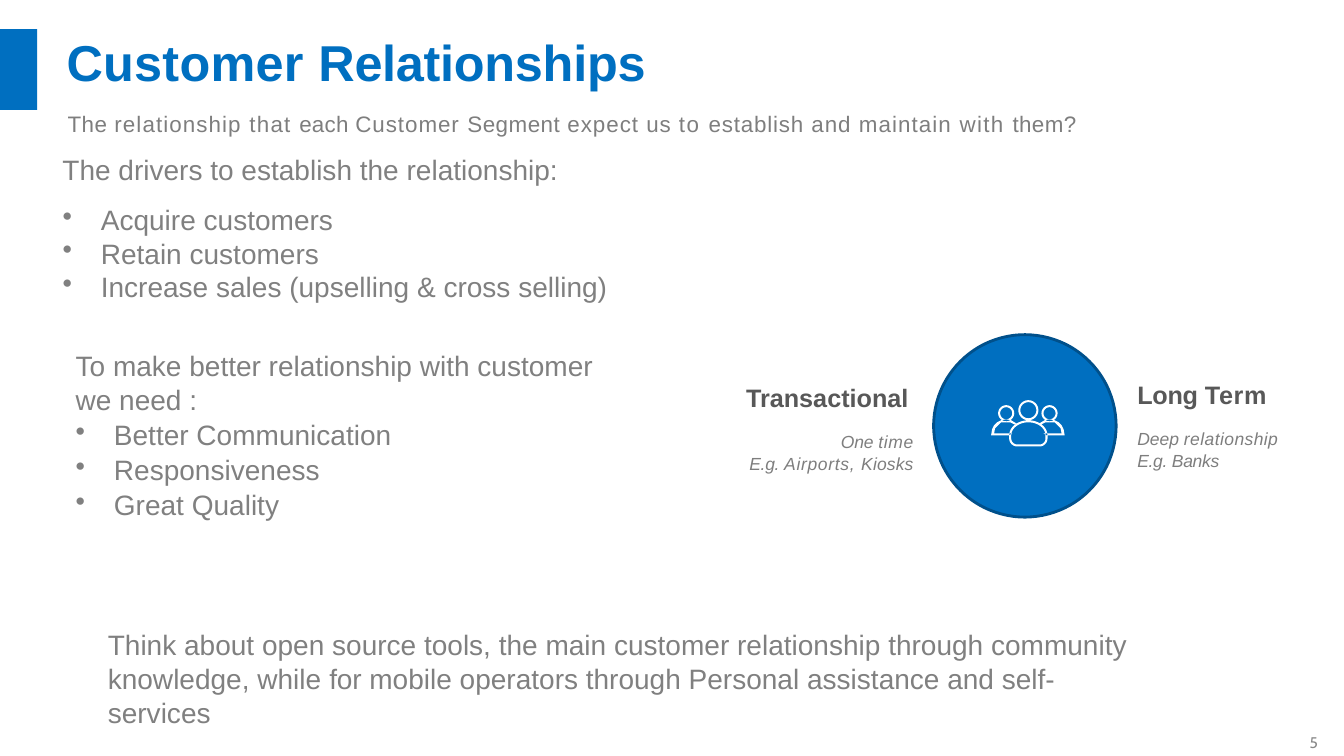
import dataclasses
import math

import lxml.etree
import pptx
import pptx.dml.color
import pptx.enum.shapes
import pptx.enum.text
import pptx.oxml.ns
import pptx.util

PX = 9144
BLUE = "006FC0"
NAVY = "00508B"
WHITE = "FFFFFF"
SHAPES = pptx.enum.shapes.MSO_SHAPE
SIDE_SHOULDERS = [
    (0, 35), (1, 29), (3, 25), (6, 22), (10, 20), (15, 19), (20, 20), (25, 23),
    (23, 24), (19, 22), (15, 22), (10, 22), (7, 25), (4, 28), (3, 33),
    (21, 33), (18, 35)]


@dataclasses.dataclass(frozen=True)
class Style:
    """Look of the text in one paragraph."""
    size: float
    color: str
    font: str = "Arial"
    bold: bool = False
    italic: bool = False


TITLE = Style(36, BLUE, bold=True)
QUESTION = Style(16, "7E7E7E")
BODY = Style(20, "808080")
HEADING = Style(18, "585858", bold=True)
DETAIL = Style(12.5, "7E7E7E", italic=True)
NUMBER = Style(11, "888888", font="Cabin")


def px(length):
    """Turn px into EMU."""
    return pptx.util.Emu(round(length * PX))


def rgb(value):
    """Turn a hex string into a colour."""
    return pptx.dml.color.RGBColor.from_string(value)


def paint(shape, fill, line=None, width=1):
    """Set the fill and outline of a shape without a shadow."""
    shape.shadow.inherit = False
    shape.fill.solid()
    shape.fill.fore_color.rgb = rgb(fill)
    if line:
        shape.line.color.rgb = rgb(line)
        shape.line.width = pptx.util.Pt(width)
    else:
        shape.line.fill.background()


def add_text_box(page, box):
    """Add an empty wrapping text box and return its frame."""
    frame = page.shapes.add_textbox(*map(px, box)).text_frame
    frame.word_wrap = True
    frame.margin_left = frame.margin_right = frame.margin_bottom = 0
    frame.margin_top = px(1)
    return frame


def write(para, spans, style, before=1, indent=1, bullet=False, right=False):
    """Fill a paragraph with (text, letter spacing) spans."""
    para.space_before = pptx.util.Pt(before)
    properties = para._p.get_or_add_pPr()
    if right:
        para.alignment = pptx.enum.text.PP_ALIGN.RIGHT
    else:
        properties.set("marL", str(px(39 if bullet else indent)))
    if bullet:
        properties.set("indent", str(px(-38)))
        mark = lxml.etree.SubElement(properties, pptx.oxml.ns.qn("a:buChar"))
        mark.set("char", "•")
    for text, spacing in spans:
        span = para.add_run()
        span.text = text
        span.font.name = style.font
        span.font.size = pptx.util.Pt(style.size)
        span.font.bold = style.bold
        span.font.italic = style.italic
        span.font.color.rgb = rgb(style.color)
        if spacing:
            span._r.get_or_add_rPr().set("spc", str(round(spacing * 100)))


def add_line(page, box, spans, style, **layout):
    """Add a text box with one paragraph."""
    write(add_text_box(page, box).paragraphs[0], spans, style, **layout)


def add_bullets(page, box, items, gap, intro=None):
    """Add a bulleted list, led by an optional plain sentence."""
    frame = add_text_box(page, box)
    lines = ([intro] if intro else []) + items
    for index, line in enumerate(lines):
        para = frame.add_paragraph() if index else frame.paragraphs[0]
        write(para, [(line, 0)], BODY, before=gap if index else 1.1,
              bullet=line != intro)


def add_relationship(page, box, heading, details, right=False):
    """Add a relationship type with its heading and italic details."""
    frame = add_text_box(page, box)
    write(frame.paragraphs[0], heading, HEADING)
    for spans, before in zip(details, (13.4, 0.8)):
        write(frame.add_paragraph(), spans, DETAIL, before=before, right=right)


def arc(x, y, across, down, start, sweep):
    """List points along an elliptical arc."""
    angles = [math.radians(start + sweep * step / 24) for step in range(25)]
    return [(x + across * math.cos(angle), y + down * math.sin(angle))
            for angle in angles]


def shoulders(left, top, width, height, shoulder, corner):
    """Outline an arch above a base with rounded corners."""
    right, bottom = left + width, top + height
    return (arc(left + width / 2, top + shoulder, width / 2, shoulder, 180, 180)
            + arc(right - corner, bottom - corner, corner, corner, 0, 90)
            + arc(left + corner, bottom - corner, corner, corner, 90, 90))


def add_people(page, box):
    """Add three people as one shape of thin bands."""
    left, top, width, height = box
    contours = [SIDE_SHOULDERS, [(width - x, y) for x, y in SIDE_SHOULDERS],
                shoulders(18, 20, 38, 26, 15, 8),
                shoulders(20, 22, 34, 22, 13, 6)[::-1]]
    for x, y, radius in ((15, 13, 8), (width - 15, 13, 8), (37, 10, 10)):
        contours.append(arc(x, y, radius, radius, 0, 360))
        contours.append(arc(x, y, radius - 2, radius - 2, 360, -360))
    builder = None
    for contour in contours:
        points = [(px(left + x), px(top + y)) for x, y in contour]
        if builder is None:
            builder = page.shapes.build_freeform(*points[0])
        else:
            builder.move_to(*points[0])
        builder.add_line_segments(points[1:], close=True)
    paint(builder.convert_to_shape(), WHITE)


def add_header(page, box):
    """Add the accent block, title and guiding question."""
    left, top, width, height = box
    accent = page.shapes.add_shape(
        SHAPES.RECTANGLE, px(left), px(top), px(37), px(80))
    paint(accent, BLUE)
    add_line(page, (left + 65, top + 1, 585, 63),
             [("Customer ", 0.2), ("Relationships", -0.2)], TITLE)
    question = [
        ("The ", 0.4), ("relationship ", 0.8), ("that ", 0.9), ("each ", 0.2),
        ("Customer ", 0.7), ("Segment ", 0.4), ("expect ", 0.7), ("us ", 0.6),
        ("to ", 1.2), ("establish ", 0.6), ("and ", 0.7), ("maintain ", 0.8),
        ("with ", 1), ("them?", 0.3)]
    add_line(page, (left + 61, top + 79, width - 61, 28), question, QUESTION,
             before=0.9, indent=6)


def add_drivers(page, box):
    """Add the drivers and the needs of a relationship."""
    left, top, width, height = box
    add_line(page, (left, top, 500, 36),
             [("The drivers to establish the relationship:", 0)], BODY)
    add_bullets(page, (left, top + 50, width, 103),
                ["Acquire customers", "Retain customers",
                 "Increase sales (upselling & cross selling)"], 0)
    add_bullets(page, (left + 13, top + 195, width, 209),
                ["Better Communication", "Responsiveness", "Great Quality"],
                1.1, "To make better relationship with customer we need :")


def add_comparison(page, box):
    """Add the circle of people between the two relationship types."""
    left, top, width, height = box
    circle = page.shapes.add_shape(
        SHAPES.OVAL, px(left + 187), px(top), px(height), px(height))
    paint(circle, BLUE, NAVY, 2.04)
    add_people(page, (left + 244, top + 65, 73, 46))
    add_relationship(
        page, (left + width - 145, top + 43, 145, 94),
        [("Long ", -0.2), ("Term", 0.5)],
        [[("Deep ", 0), ("relationship", 0.3)], [("E.g. Banks", -0.2)]])
    add_relationship(
        page, (left, top + 46, 167, 94), [("Transactional", 0)],
        [[("One ", -0.1), ("time", 0.5)],
         [("E.g. ", -0.2), ("Airports, ", 0.5), ("Kiosks", 0.1)]], right=True)


def main():
    """Build and save the deck."""
    deck = pptx.Presentation()
    deck.slide_width, deck.slide_height = px(1333), px(750)
    page = deck.slides.add_slide(deck.slide_layouts[6])
    add_header(page, (0, 29, 1079, 107))
    add_drivers(page, (61, 150, 542, 404))
    add_comparison(page, (739, 332, 533, 181))
    add_line(page, (106, 622, 1043, 70),
             [("Think about open source tools, the main customer relationship "
               "through community knowledge, while ", 0), ("for ", -0.1),
              ("mobile operators through Personal assistance and "
               "self-services", 0)], BODY)
    add_line(page, (1298, 726, 18, 20), [("5", 0)], NUMBER)
    deck.save("out.pptx")


if __name__ == "__main__":
    main()
